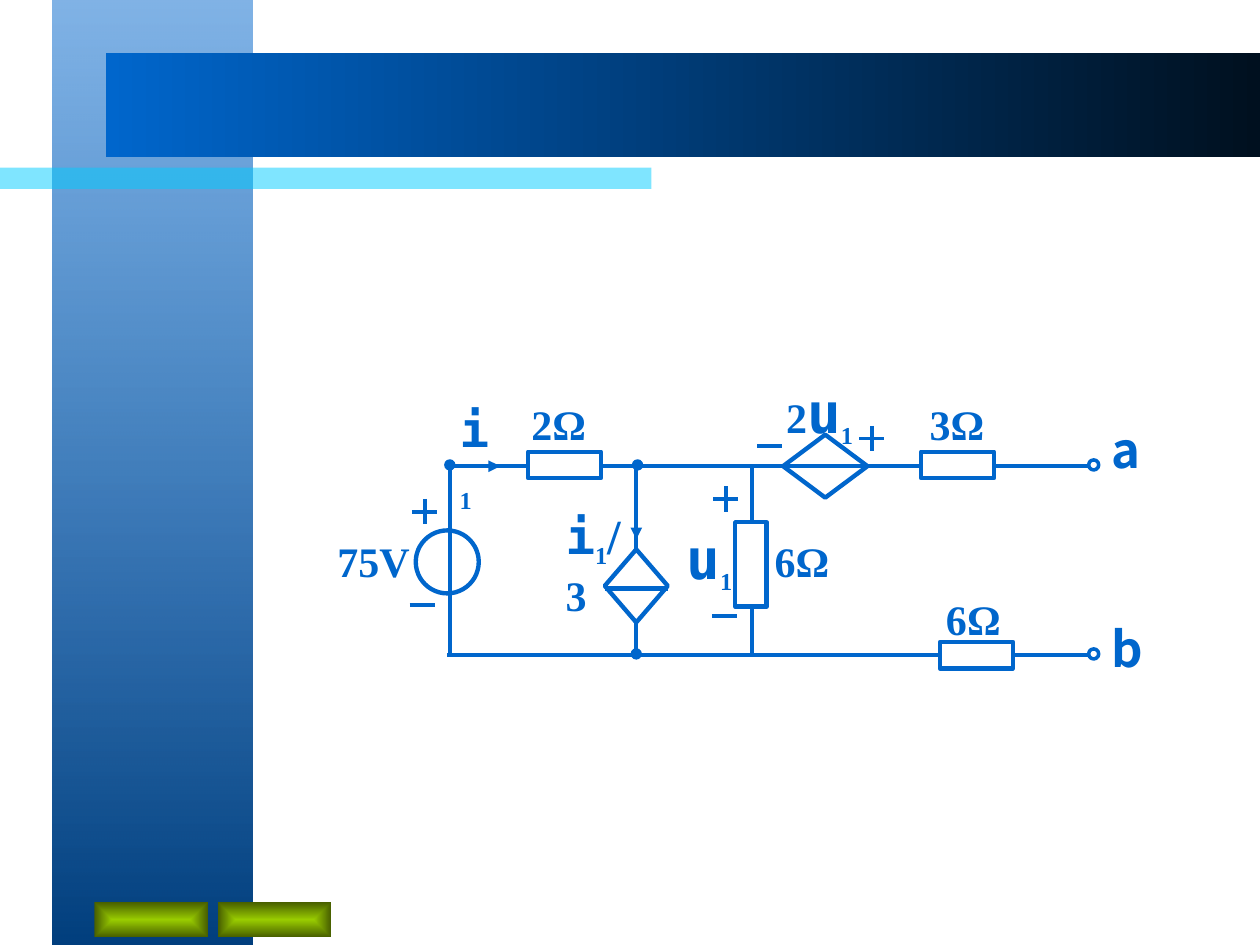
import pptx
import pptx.util
import pptx.dml.color
import pptx.enum.shapes
import pptx.enum.text
import pptx.oxml
import pptx.oxml.ns
from pptx.util import Inches

BLUE, WHITE = "0066CC", "FFFFFF"
SERIF, MONO, SANS = "Times New Roman", "DejaVu Sans Mono", "Noto Sans CJK SC"
NS = 'xmlns:a="http://schemas.openxmlformats.org/drawingml/2006/main"'
KIND = pptx.enum.shapes.MSO_SHAPE

# Background bands: box, stops (position, colour, opacity), direction
TOP_DOWN, ACROSS = '<a:lin ang="5400000"/>', '<a:lin ang="0"/>'
CENTRE = ('<a:path path="rect"><a:fillToRect l="50000" t="50000" '
          'r="50000" b="50000"/></a:path>')
GREEN = [(0, "99CC00", 100), (100, "475E00", 100)]
BANDS = [
    ((0.42, 0, 1.58, 7.5), [(0, BLUE, 50), (100, "003F7E", 100)], TOP_DOWN),
    ((0, 1.33, 5.17, 0.17), [(0, "00CCFF", 50), (100, "00CCFF", 50)], ACROSS),
    ((0.84, 0.42, 9.16, 0.83), [(0, BLUE, 100), (100, "00101F", 100)], ACROSS),
    ((0.75, 7.16, 0.9, 0.28), GREEN, CENTRE),
    ((1.73, 7.16, 0.9, 0.28), GREEN, CENTRE),
]

# Circuit: rails, branches and part positions
TOP, BOTTOM, END = 3.7, 5.2, 8.64
SOURCE_X, CURRENT_X, LOAD_X = 3.57, 5.05, 5.97
WIRES = [
    (CURRENT_X, TOP, CURRENT_X, BOTTOM),
    (3.55, TOP, END, TOP),
    (3.55, BOTTOM, END, BOTTOM),
    (SOURCE_X, TOP, SOURCE_X, BOTTOM),
    (LOAD_X, TOP, LOAD_X, BOTTOM),
]
ARROWS = [(3.64, TOP, 3.97, TOP), (CURRENT_X, 3.95, CURRENT_X, 4.28)]
PARTS = [  # kind, centre x, centre y, width, height, fill
    (KIND.DIAMOND, CURRENT_X, 4.65, 0.5, 0.58, WHITE),
    (KIND.DIAMOND, 6.55, TOP, 0.67, 0.5, None),
    (KIND.OVAL, 3.55, 4.46, 0.5, 0.5, None),
    (KIND.RECTANGLE, 4.48, 3.69, 0.58, 0.21, WHITE),
    (KIND.RECTANGLE, 7.6, 3.69, 0.58, 0.21, WHITE),
    (KIND.RECTANGLE, 7.75, BOTTOM, 0.58, 0.21, WHITE),
    (KIND.RECTANGLE, 5.96, 4.48, 0.25, 0.67, WHITE),
]
CURRENT_BAR = (4.8, 4.67, 5.3, 4.67)
TERMINALS = [(8.68, 3.69), (8.68, 5.19)]
NODES = [(5.05, 5.19), (5.06, 3.69), (3.57, 3.69)]
PLUSES = [(3.37, 4.06), (6.92, 3.48), (5.76, 3.96)]
MINUSES = [(3.35, 4.8), (6.11, 3.54), (5.75, 4.89)]

# Labels: box, space before, runs (text, size, font, subscript)
SUB = ("1", 24, SERIF, True)
LABELS = [
    ((6.14, 2.95, 0.75, 1.09), 15, [("2", 24, SERIF, False), ("u", 32, MONO, False), SUB]),
    ((3.55, 3.11, 0.42, 0.61), 15, [("i", 28, MONO, False), SUB]),
    ((4.39, 3.96, 0.75, 0.61), 15, [("i", 28, MONO, False), SUB,
                                   ("/", 28, SERIF, False), ("3", 24, SERIF, False)]),
    ((5.35, 4.11, 0.83, 0.67), 15, [("u", 32, MONO, False), SUB]),
    ((4.12, 3.11, 0.83, 0.5), 15, [("2Ω", 24, SERIF, False)]),
    ((7.28, 3.11, 0.83, 0.5), 15, [("3Ω", 24, SERIF, False)]),
    ((6.05, 4.2, 0.83, 0.5), 15, [("6Ω", 24, SERIF, False)]),
    ((7.41, 4.66, 0.83, 0.5), 15, [("6Ω", 24, SERIF, False)]),
    ((2.58, 4.2, 0.92, 0.5), 15, [("75V", 24, SERIF, False)]),
    ((8.72, 3.28, 0.58, 0.57), 17.5, [("a", 28, SANS, False)]),
    ((8.72, 4.86, 0.58, 0.57), 17.5, [("b", 28, SANS, False)]),
]


def rgb(value):
    return pptx.dml.color.RGBColor.from_string(value)


def add_band(s, box, stops, direction):
    sp = s.shapes.add_shape(KIND.RECTANGLE, *map(Inches, box))
    sp.shadow.inherit = False
    sp.line.fill.background()
    sp.fill.background()
    stop_xml = "".join(
        f'<a:gs pos="{pos * 1000}"><a:srgbClr val="{colour}">'
        f'<a:alpha val="{alpha * 1000}"/></a:srgbClr></a:gs>'
        for pos, colour, alpha in stops)
    grad = pptx.oxml.parse_xml(
        f'<a:gradFill {NS} rotWithShape="1"><a:gsLst>{stop_xml}</a:gsLst>{direction}</a:gradFill>')
    props = sp._element.spPr
    props.replace(props.find(pptx.oxml.ns.qn("a:noFill")), grad)


def add_part(s, kind, x, y, w, h, fill, width=2.5):
    sp = s.shapes.add_shape(kind, Inches(x - w / 2), Inches(y - h / 2), Inches(w), Inches(h))
    sp.shadow.inherit = False
    if fill:
        sp.fill.solid()
        sp.fill.fore_color.rgb = rgb(fill)
    else:
        sp.fill.background()
    sp.line.color.rgb = rgb(BLUE)
    sp.line.width = pptx.util.Pt(width)


def add_line(s, ends, width=2.5, arrow=False):
    line = s.shapes.add_connector(pptx.enum.shapes.MSO_CONNECTOR.STRAIGHT, *map(Inches, ends))
    line.line.color.rgb = rgb(BLUE)
    line.line.width = pptx.util.Pt(width)
    if arrow:
        line.line._get_or_add_ln().append(
            pptx.oxml.parse_xml(f'<a:tailEnd {NS} type="triangle"/>'))
    line._element.spPr.append(pptx.oxml.parse_xml(f"<a:effectLst {NS}/>"))


def add_label(s, box, before, runs):
    tf = s.shapes.add_textbox(*map(Inches, box)).text_frame
    tf.word_wrap = True
    tf.auto_size = pptx.enum.text.MSO_AUTO_SIZE.SHAPE_TO_FIT_TEXT
    p = tf.paragraphs[0]
    p.space_before = pptx.util.Pt(before)
    for text, size, font, subscript in runs:
        r = p.add_run()
        r.text = text
        for key, value in {"size": pptx.util.Pt(size), "name": font, "bold": True}.items():
            setattr(r.font, key, value)
        r.font.color.rgb = rgb(BLUE)
        if subscript:
            r.font._element.set("baseline", "-25000")


def main():
    prs = pptx.Presentation()
    prs.slide_width, prs.slide_height = Inches(10), Inches(7.5)
    s = prs.slides.add_slide(prs.slide_layouts[6])

    for band in BANDS:
        add_band(s, *band)

    # Wires lie beneath the parts
    for wire in WIRES:
        add_line(s, wire)
    for part in PARTS:
        add_part(s, *part)
    add_line(s, CURRENT_BAR)
    for ends in ARROWS:
        add_line(s, ends, 2.25, arrow=True)
    for x, y in TERMINALS:
        add_part(s, KIND.OVAL, x, y, 0.08, 0.08, None, 2)
    for x, y in NODES:
        add_part(s, KIND.OVAL, x, y, 0.08, 0.08, BLUE, 0.75)

    # Polarity signs
    for x, y in PLUSES + MINUSES:
        add_line(s, (x - 0.1, y, x + 0.1, y), 2.25)
    for x, y in PLUSES:
        add_line(s, (x, y - 0.1, x, y + 0.1), 2.25)

    for label in LABELS:
        add_label(s, *label)
    prs.save("out.pptx")


if __name__ == "__main__":
    main()
